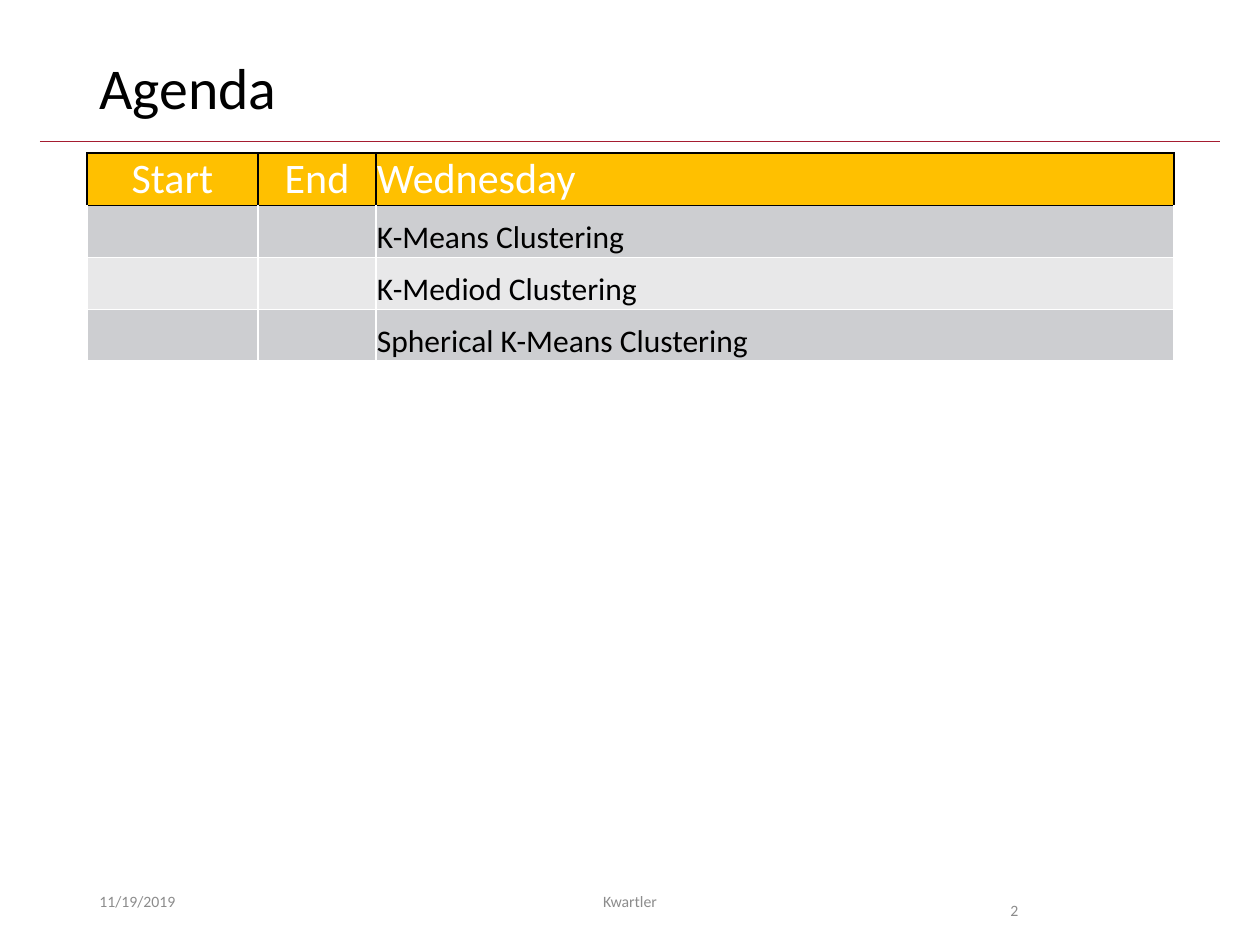
from dataclasses import dataclass

from lxml import etree
from pptx import Presentation
from pptx.dml.color import RGBColor
from pptx.enum.shapes import MSO_CONNECTOR
from pptx.enum.text import MSO_ANCHOR, PP_ALIGN
from pptx.oxml.ns import qn
from pptx.util import Emu, Pt

LEFT, CENTER = PP_ALIGN.LEFT, PP_ALIGN.CENTER
TOP, MIDDLE, BOTTOM = MSO_ANCHOR.TOP, MSO_ANCHOR.MIDDLE, MSO_ANCHOR.BOTTOM
STRAIGHT = MSO_CONNECTOR.STRAIGHT

BLACK = RGBColor(0x00, 0x00, 0x00)
WHITE = RGBColor(0xFF, 0xFF, 0xFF)
CRIMSON = RGBColor(0xA5, 0x1C, 0x30)
AMBER = RGBColor(0xFF, 0xC0, 0x00)
DARK_BAND = RGBColor(0xCD, 0xCE, 0xD1)
LIGHT_BAND = RGBColor(0xE8, 0xE8, 0xE9)
GRAY = RGBColor(0x8C, 0x8C, 0x8C)

FONT = "Calibri"
PX_PER_INCH = 126


def px(count: int) -> Emu:
    return Emu(round(count * 914400 / PX_PER_INCH))


@dataclass
class Label:
    text: str
    left: int
    top: int
    width: int
    height: int
    size: int = 9
    color: RGBColor = GRAY
    align: PP_ALIGN = LEFT
    anchor: MSO_ANCHOR = MIDDLE
    line_spacing: float = 1.0


@dataclass
class RowStyle:
    fill: RGBColor
    color: RGBColor
    size: int
    anchor: MSO_ANCHOR
    top_border: RGBColor
    border: RGBColor
    aligns: tuple


LABELS = [
    Label("Agenda", 87, 50, 1086, 82, 33, BLACK, line_spacing=0.9),
    Label("11/19/2019", 87, 876, 284, 50),
    Label("Kwartler", 417, 876, 426, 50, align=CENTER),
    Label("2", 998, 876, 118, 50, anchor=TOP, line_spacing=2.0),
]

COLUMN_WIDTHS = [171, 118, 798]
ROW_HEIGHT = 52
HEADINGS = ["Start", "End", "Wednesday"]
TOPICS = ["K-Means Clustering", "K-Mediod Clustering", "Spherical K-Means Clustering"]
HEADER = RowStyle(AMBER, WHITE, 24, MIDDLE, BLACK, BLACK, (CENTER, CENTER, LEFT))


def add_span(para, text: str, size: int, color: RGBColor) -> None:
    span = para.add_run()
    span.text = text
    span.font.name = FONT
    span.font.size = Pt(size)
    span.font.bold = False
    span.font.color.rgb = color


def add_label(page, label: Label) -> None:
    box = page.shapes.add_textbox(
        px(label.left), px(label.top), px(label.width), px(label.height))
    frame = box.text_frame
    frame.word_wrap = True
    frame.vertical_anchor = label.anchor
    para = frame.paragraphs[0]
    para.alignment = label.align
    para.line_spacing = label.line_spacing
    add_span(para, label.text, label.size, label.color)


def add_rule(page, left: int, right: int, top: int) -> None:
    rule = page.shapes.add_connector(STRAIGHT, px(left), px(top), px(right), px(top))
    rule.line.color.rgb = CRIMSON
    rule.line.width = Pt(0.5)
    etree.SubElement(rule._element.spPr, qn("a:effectLst"))


def set_borders(cell, top: RGBColor, other: RGBColor) -> None:
    properties = cell._tc.get_or_add_tcPr()
    colors = {"a:lnL": other, "a:lnR": other, "a:lnT": top, "a:lnB": other}
    for position, (tag, color) in enumerate(colors.items()):
        border = etree.Element(qn(tag), w=str(Pt(1)))
        fill = etree.SubElement(border, qn("a:solidFill"))
        etree.SubElement(fill, qn("a:srgbClr"), val=str(color))
        properties.insert(position, border)


def fill_row(row, texts: list[str], style: RowStyle) -> None:
    row.height = px(ROW_HEIGHT)
    for cell, text, align in zip(row.cells, texts, style.aligns):
        cell.fill.solid()
        cell.fill.fore_color.rgb = style.fill
        set_borders(cell, style.top_border, style.border)
        if text:
            cell.margin_left = cell.margin_right = cell.margin_top = px(1)
            cell.margin_bottom = 0
            cell.vertical_anchor = style.anchor
            para = cell.text_frame.paragraphs[0]
            para.alignment = align
            add_span(para, text, style.size, style.color)


def add_agenda(page, left: int, top: int) -> None:
    row_count = len(TOPICS) + 1
    table = page.shapes.add_table(
        row_count, len(COLUMN_WIDTHS), px(left), px(top),
        px(sum(COLUMN_WIDTHS)), px(ROW_HEIGHT * row_count)).table
    table.first_row = False
    table.horz_banding = False
    for column, width in zip(table.columns, COLUMN_WIDTHS):
        column.width = px(width)
    fill_row(table.rows[0], HEADINGS, HEADER)
    for index, topic in enumerate(TOPICS):
        style = RowStyle(
            LIGHT_BAND if index % 2 else DARK_BAND, BLACK, 18, BOTTOM,
            WHITE if index else BLACK, WHITE, (LEFT, LEFT, LEFT))
        fill_row(table.rows[index + 1], ["", "", topic], style)


def main() -> None:
    deck = Presentation()
    deck.slide_width, deck.slide_height = px(1260), px(945)
    page = deck.slides.add_slide(deck.slide_layouts[6])
    add_rule(page, 40, 1220, 141)
    add_agenda(page, 87, 153)
    for label in LABELS:
        add_label(page, label)
    deck.save("out.pptx")


if __name__ == "__main__":
    main()
